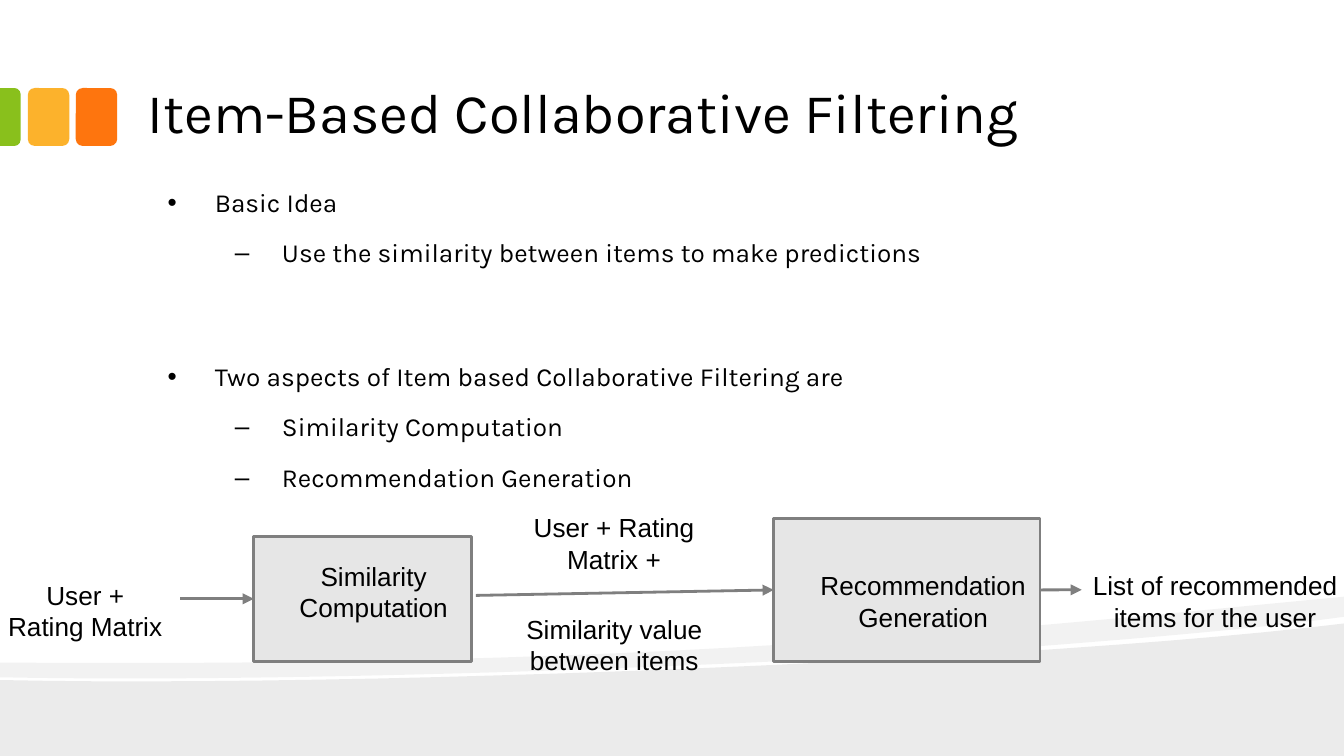
from lxml.etree import SubElement
from pptx import Presentation
from pptx.dml.color import RGBColor
from pptx.enum.shapes import MSO_CONNECTOR as Connector, MSO_SHAPE as Shape
from pptx.enum.text import MSO_ANCHOR as Anchor, PP_ALIGN as Align
from pptx.oxml.ns import qn
from pptx.util import Pt

BLACK = RGBColor(0x00, 0x00, 0x00)
ORANGE = RGBColor(0xFE, 0x75, 0x0E)
YELLOW = RGBColor(0xFC, 0xB2, 0x2C)
GREEN = RGBColor(0x89, 0xC0, 0x1C)
PALE_GRAY = RGBColor(0xE6, 0xE6, 0xE6)
MID_GRAY = RGBColor(0x7F, 0x7F, 0x7F)

WIDTH, HEIGHT = 720, 405
CURVE_STEPS = 24
BULLETS = [
    ("Basic Idea", 0, 18),
    ("Use the similarity between items to make predictions", 1, 12),
    ("Two aspects of Item based Collaborative Filtering are", 0, 51),
    ("Similarity Computation", 1, 12),
    ("Recommendation Generation", 1, 12),
]
LABELS = [
    (["Similarity", "Computation"], 139.7, 293, 121, 46),
    (["Recommendation", "Generation"], 429.8, 298, 129.6, 46),
    (["User +", "Rating Matrix"], -4.3, 303, 100, 36),
    (["User + Rating Matrix +"], 264.2, 267, 129.6, 36),
    (["Similarity value between items"], 257.8, 321.3, 142.6, 60),
    (["List of recommended items for the user"], 571, 298, 160, 76),
]


def curve(start, first, second, end):
    points = []
    for step in range(1, CURVE_STEPS + 1):
        t = step / CURVE_STEPS
        u = 1 - t
        points.append(tuple(
            u**3 * a + 3 * u * u * t * b + 3 * u * t * t * c + t**3 * d
            for a, b, c, d in zip(start, first, second, end)))
    return points


def add_wave(page, points, opacity):
    start, *rest = [(Pt(x), Pt(y)) for x, y in points]
    builder = page.shapes.build_freeform(*start)
    builder.add_line_segments(rest, close=True)
    wave = builder.convert_to_shape()
    wave.shadow.inherit = False
    wave.line.fill.background()
    wave.fill.solid()
    wave.fill.fore_color.rgb = BLACK
    color = wave.fill._xPr.find(qn("a:solidFill"))[0]
    SubElement(color, qn("a:alpha"), val=str(opacity * 1000))


def add_box(page, kind, left, top, width, height, fill, line=None):
    box = page.shapes.add_shape(kind, Pt(left), Pt(top), Pt(width), Pt(height))
    box.shadow.inherit = False
    box.fill.solid()
    box.fill.fore_color.rgb = fill
    if line is None:
        box.line.fill.background()
    else:
        box.line.color.rgb = line
        box.line.width = Pt(1.5)
    return box


def add_arrow(page, start, end, source=None, target=None):
    arrow = page.shapes.add_connector(
        Connector.STRAIGHT, *[Pt(value) for value in (*start, *end)])
    if source is not None:
        arrow.begin_connect(source, 3)
    if target is not None:
        arrow.end_connect(target, 1)
    arrow.line.color.rgb = MID_GRAY
    arrow.line.width = Pt(1.5)
    SubElement(arrow.line._get_or_add_ln(), qn("a:tailEnd"), type="triangle")
    SubElement(arrow._element.spPr, qn("a:effectLst"))


def add_frame(page, left, top, width, height, anchor=Anchor.TOP):
    box = page.shapes.add_textbox(Pt(left), Pt(top), Pt(width), Pt(height))
    frame = box.text_frame
    frame.word_wrap = True
    frame.vertical_anchor = anchor
    frame.margin_left = frame.margin_right = Pt(7.2)
    frame.margin_top = frame.margin_bottom = Pt(7.2)
    return frame


def write(frame, text, size=14, font="Arial", align=Align.LEFT):
    para = frame.paragraphs[0]
    if para.runs:
        para = frame.add_paragraph()
    para.alignment = align
    span = para.add_run()
    span.text = text
    span.font.size = Pt(size)
    span.font.name = font
    span.font.color.rgb = BLACK
    return para


def add_bullet(frame, text, level, gap):
    para = write(frame, text, font="Karla")
    para.level = level
    para.line_spacing = 0.9
    para.space_before = Pt(gap)
    properties = para._p.get_or_add_pPr()
    properties.set("marL", str(Pt(36 * (level + 1))))
    properties.set("indent", str(Pt(-25.2)))
    SubElement(properties, qn("a:buFont"), typeface="Arial")
    SubElement(properties, qn("a:buChar"), char="•–"[level])


def add_background(page):
    add_wave(page, [
        (WIDTH, 334), (WIDTH, HEIGHT), (0, HEIGHT), (0, 364.3),
        *curve((0, 364.3), (190, 368.6), (563, 353.5), (WIDTH, 334)),
    ], 8)
    add_wave(page, [
        (WIDTH, 319.7), (WIDTH, 330.5),
        *curve((WIDTH, 330.5), (678.2, 336.2), (620.6, 341.3), (555.8, 346.3)),
        *curve((555.8, 346.3), (376.6, 358.6), (139, 365.8), (0, 362.9)),
        (0, 355),
        *curve((0, 355), (352, 357.8), (524.2, 338.4), (WIDTH, 319.7)),
    ], 5)
    for left, color in ((40.6, ORANGE), (14.9, YELLOW)):
        add_box(page, Shape.ROUNDED_RECTANGLE, left, 47.2, 22.2, 31, color)
    tab = add_box(page, Shape.ROUND_2_SAME_RECTANGLE, -10, 57.2, 31, 11, GREEN)
    tab.rotation = 90
    tab.adjustments[0] = 0.29


def add_diagram(page):
    similarity = add_box(page, Shape.RECTANGLE, 136, 287.3, 116.5, 67,
                         PALE_GRAY, MID_GRAY)
    recommendation = add_box(page, Shape.RECTANGLE, 414.5, 277.8, 142.6, 76.5,
                             PALE_GRAY, MID_GRAY)
    add_arrow(page, (557, 316), (579.5, 316), source=recommendation)
    add_arrow(page, (255, 319), (414.5, 316), target=recommendation)
    add_arrow(page, (96.5, 320.8), (136, 320.8), target=similarity)
    for lines, *place in LABELS:
        frame = add_frame(page, *place)
        for line in lines:
            write(frame, line, align=Align.CENTER)


def main():
    deck = Presentation()
    deck.slide_width, deck.slide_height = Pt(WIDTH), Pt(HEIGHT)
    page = deck.slides.add_slide(deck.slide_layouts[6])
    add_background(page)
    title = add_frame(page, 72, 8.6, 576, 76.3, Anchor.BOTTOM)
    write(title, "Item-Based Collaborative Filtering", size=30, font="Karla")
    body = add_frame(page, 72, 94.3, 576, 156)
    for text, level, gap in BULLETS:
        add_bullet(body, text, level, gap)
    add_diagram(page)
    deck.save("out.pptx")


if __name__ == "__main__":
    main()
